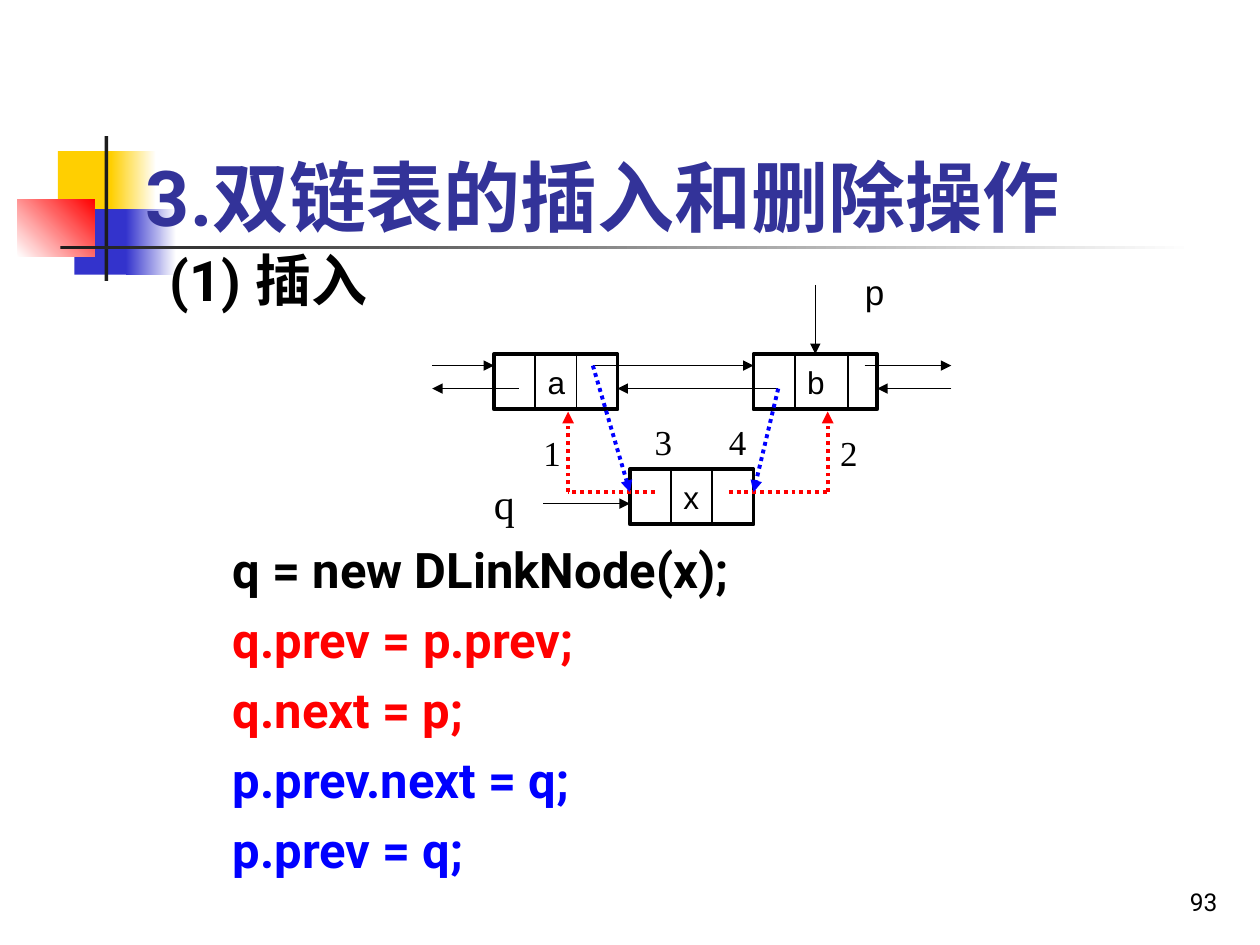
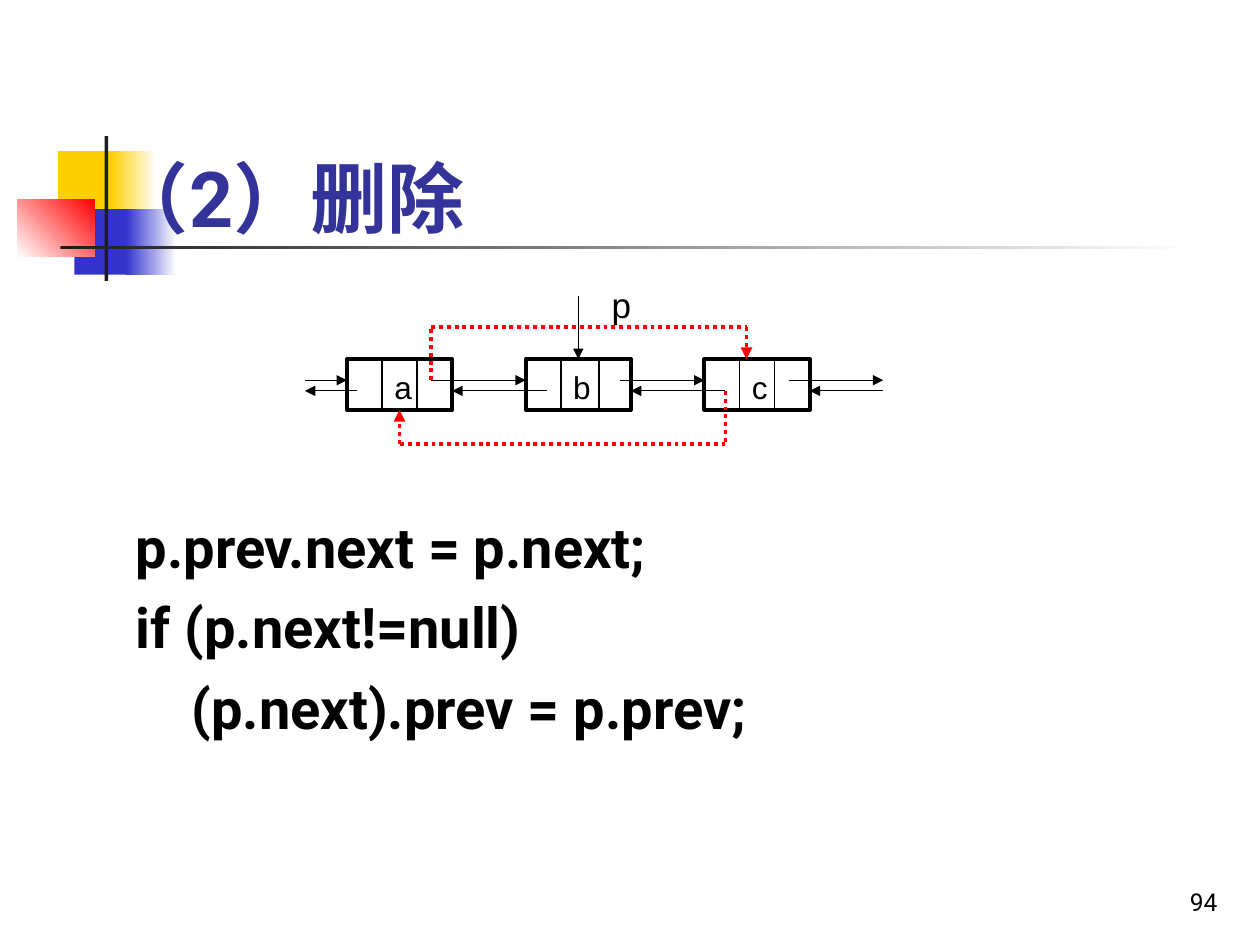
"""Build two slides on inserting into and deleting from a doubly linked list."""
from dataclasses import dataclass

from lxml import etree
from pptx import Presentation
from pptx import util as u
from pptx.dml.color import RGBColor
from pptx.enum import dml, shapes, text
from pptx.oxml.ns import qn


@dataclass(frozen=True)
class Theme:
    """Colours, fonts, type sizes and line widths of the deck."""
    black: str = "000000"
    white: str = "FFFFFF"
    ink: str = "1C1C1C"
    title: str = "333399"
    yellow: str = "FFCF01"
    indigo: str = "3333CC"
    red: str = "FF0000"
    blue: str = "0000FF"
    body_font: str = "Roboto"
    node_font: str = "Arial"
    step_font: str = "Times New Roman"
    title_size: int = 44
    heading_size: int = 32
    code_size: int = 28
    pointer_size: int = 24
    step_size: int = 20
    node_size: int = 18
    number_size: int = 14
    heavy: float = 2.25
    divider: float = 1
    thin: float = 0.75


THEME = Theme()
WIDTH, HEIGHT = 10, 7.5
NODE_COLUMNS, NODE_ROWS = 10, 4.8


@dataclass(frozen=True)
class Diagram:
    """A slide with a grid of columns and rows laid over its list diagram."""
    slide: object
    left: float
    top: float
    column: float
    row: float

    def at(self, column, row):
        """Return the place of a grid point in inches."""
        return self.left + column * self.column, self.top + row * self.row


def colour(value):
    """Turn a hex value into a colour."""
    return RGBColor.from_string(value)


def add_text(slide, box, lines, size, font=THEME.body_font, bold=False,
             anchor=text.MSO_ANCHOR.TOP, align=text.PP_ALIGN.LEFT, inset=0.05):
    """Write (line, colour) pairs as paragraphs in a box."""
    frame = slide.shapes.add_textbox(*map(u.Inches, box)).text_frame
    frame.word_wrap = True
    frame.vertical_anchor = anchor
    frame.margin_top = u.Inches(inset)
    frame.text = "\n".join(line for line, _ in lines)
    for index, (paragraph, (_, shade)) in enumerate(zip(frame.paragraphs, lines)):
        paragraph.alignment = align
        if index:
            paragraph.space_before = u.Pt(round(size * 0.23, 1))
        for run in paragraph.runs:
            run.font.name, run.font.size, run.font.bold = font, u.Pt(size), bold
            run.font.color.rgb = colour(shade)


def add_band(slide, box, start, end=None, angle=0):
    """Draw a rectangle in one colour or in a gradient."""
    band = slide.shapes.add_shape(shapes.MSO_SHAPE.RECTANGLE, *map(u.Inches, box))
    band.shadow.inherit = False
    band.line.fill.background()
    if end is None:
        band.fill.solid()
        band.fill.fore_color.rgb = colour(start)
        return
    band.fill.gradient()
    band.fill.gradient_angle = angle
    for stop, shade in zip(band.fill.gradient_stops, (start, end)):
        stop.color.rgb = colour(shade)


def add_frame(deck, title, title_left, title_top, number):
    """Add a slide with its ornament, title and page number."""
    slide = deck.slides.add_slide(deck.slide_layouts[6])
    add_band(slide, (0.46, 1.2, 0.48, 0.52), THEME.yellow)
    add_band(slide, (0.88, 1.2, 0.36, 0.52), THEME.yellow, THEME.white)
    add_band(slide, (0.59, 1.66, 0.46, 0.52), THEME.indigo)
    add_band(slide, (1, 1.66, 0.4, 0.52), THEME.indigo, THEME.white)
    add_band(slide, (0.14, 1.58, 0.61, 0.46), THEME.white, THEME.red, 45)
    add_band(slide, (0.83, 1.08, 0.03, 1.15), THEME.ink)
    add_band(slide, (0.48, 1.95, WIDTH * 0.9, 0.03), THEME.ink, THEME.white)
    add_text(slide, (title_left, title_top, 8.52, 0.92), [(title, THEME.title)],
             THEME.title_size, bold=True, anchor=text.MSO_ANCHOR.BOTTOM)
    add_text(slide, (7.68, 6.82, 2.08, 0.5), [(number, THEME.black)],
             THEME.number_size, anchor=text.MSO_ANCHOR.BOTTOM,
             align=text.PP_ALIGN.RIGHT)
    return slide


def add_link(diagram, start, end, shade=THEME.black, width=THEME.thin,
             dotted=False, arrow=True):
    """Draw a straight line between two grid points."""
    ends = (*diagram.at(*start), *diagram.at(*end))
    link = diagram.slide.shapes.add_connector(
        shapes.MSO_CONNECTOR.STRAIGHT, *map(u.Inches, ends))
    link.line.color.rgb = colour(shade)
    link.line.width = u.Pt(width)
    if dotted:
        link.line.dash_style = dml.MSO_LINE.ROUND_DOT
    if arrow:
        etree.SubElement(link.line._get_or_add_ln(), qn("a:tailEnd"), type="triangle")
    etree.SubElement(link._element.spPr, qn("a:effectLst"))
    return link


def add_route(diagram, shade, *points):
    """Draw a dotted path through grid points and return its arrow."""
    legs = list(zip(points, points[1:]))
    for start, end in legs[:-1]:
        add_link(diagram, start, end, shade, THEME.heavy, dotted=True, arrow=False)
    return add_link(diagram, *legs[-1], shade, THEME.heavy, dotted=True)


def add_label(diagram, label, column, row, size, font):
    """Write a short label with its corner on a grid point."""
    box = (*diagram.at(column, row), 0.5, 0.44)
    add_text(diagram.slide, box, [(label, THEME.black)], size, font, inset=0.07)


def add_node(diagram, label, column, row=0, second=6.67):
    """Draw a list node of three cells and return its outline."""
    box = (*diagram.at(column, row),
           NODE_COLUMNS * diagram.column, NODE_ROWS * diagram.row)
    node = diagram.slide.shapes.add_shape(
        shapes.MSO_SHAPE.RECTANGLE, *map(u.Inches, box))
    node.shadow.inherit = False
    node.fill.background()
    node.line.color.rgb = colour(THEME.black)
    node.line.width = u.Pt(THEME.heavy)
    for offset in (3.33, second):
        add_link(diagram, (column + offset, row), (column + offset, row + NODE_ROWS),
                 width=THEME.divider, arrow=False)
    add_label(diagram, label, column + 3.33, row, THEME.node_size, THEME.node_font)
    return node


def add_links(diagram, row, *spans):
    """Draw level arrows along one row."""
    for start, end in spans:
        add_link(diagram, (start, row), (end, row))


def build_insertion(deck):
    """Build the slide on inserting a node."""
    slide = add_frame(deck, "3.双链表的插入和删除操作", 1.06, 1.05, "93")
    add_text(slide, (1.25, 1.9, 7.77, 0.7), [("(1) 插入", THEME.black)],
             THEME.heading_size, bold=True)
    code = [("q = new DLinkNode(x);", THEME.black),
            ("q.prev = p.prev;", THEME.red), ("q.next = p;", THEME.red),
            ("p.prev.next = q;", THEME.blue), ("p.prev = q;", THEME.blue)]
    add_text(slide, (1.75, 4.23, 7.27, 2.9), code, THEME.code_size, bold=True)

    diagram = Diagram(slide, 3.43, 2.81, 4.12 / 42, 1.37 / 15)
    add_node(diagram, "x", 16, 10)
    add_node(diagram, "a", 5)
    node_b = add_node(diagram, "b", 26, second=7.67)
    add_links(diagram, 1, (0, 5), (13, 26), (35, 42))
    add_links(diagram, 3, (7, 0), (28, 15), (42, 36))
    add_links(diagram, 13, (9, 16))
    add_link(diagram, (31, -6), (31, 0)).end_connect(node_b, 0)
    add_route(diagram, THEME.red, (18, 12), (11, 12), (11, 5))
    add_route(diagram, THEME.red, (24, 12), (32, 12), (32, 5))
    add_route(diagram, THEME.blue, (13, 1), (16, 12))
    add_route(diagram, THEME.blue, (28, 3), (26, 12))
    add_label(diagram, "p", 34, -8, THEME.step_size, THEME.node_font)
    add_label(diagram, "q", 4, 10, THEME.pointer_size, THEME.step_font)
    for step, column, row in (("1", 8, 6), ("2", 32, 6), ("3", 17, 5), ("4", 23, 5)):
        add_label(diagram, step, column, row, THEME.step_size, THEME.step_font)


def build_deletion(deck):
    """Build the slide on deleting a node."""
    slide = add_frame(deck, "（2）删除", 0.79, 1.06, "94")
    code = ("p.prev.next = p.next;", "if (p.next!=null)", "    (p.next).prev = p.prev;")
    add_text(slide, (0.98, 4.02, 8.5, 2.17), [(line, THEME.black) for line in code],
             THEME.heading_size, bold=True)

    diagram = Diagram(slide, 2.42, 2.85, 4.59 / 55, 1.26 / 15)
    node_a = add_node(diagram, "a", 4)
    node_b = add_node(diagram, "b", 21, second=7)
    add_node(diagram, "c", 38)
    add_links(diagram, 2, (0, 4), (12, 21), (30, 38), (46, 55))
    add_links(diagram, 3, (5, 0), (23, 14), (40, 31), (55, 48))
    add_link(diagram, (26, -6), (26, 0)).end_connect(node_b, 0)
    add_route(diagram, THEME.red, (12, 2), (12, -3), (42, -3), (42, 0))
    back = add_route(diagram, THEME.red, (40, 3), (40, 8), (9, 8), (9, NODE_ROWS))
    back.end_connect(node_a, 2)
    add_label(diagram, "p", 28, -8, THEME.step_size, THEME.node_font)


def main():
    """Build and save the deck."""
    deck = Presentation()
    deck.slide_width, deck.slide_height = u.Inches(WIDTH), u.Inches(HEIGHT)
    build_insertion(deck)
    build_deletion(deck)
    deck.save("out.pptx")


if __name__ == "__main__":
    main()
